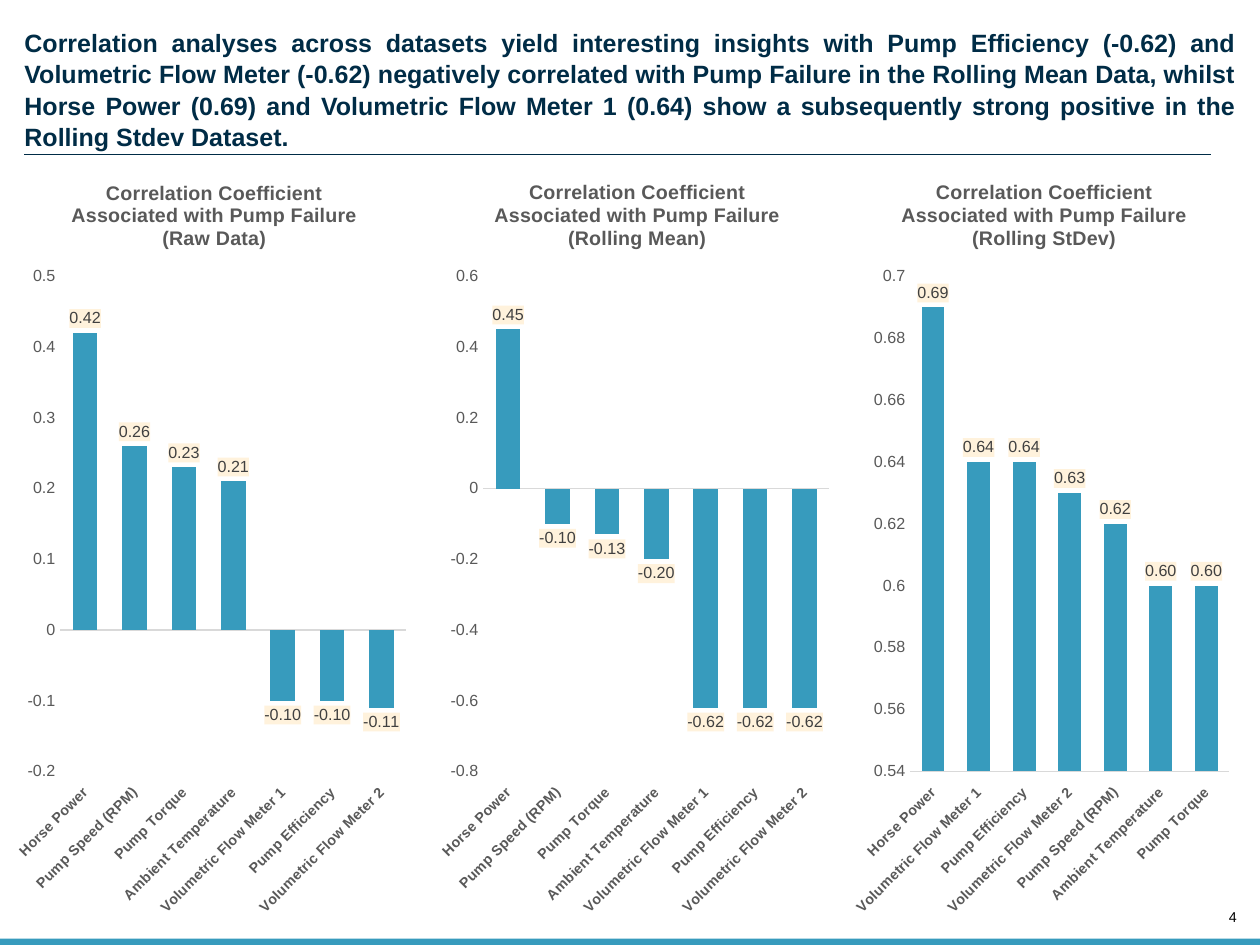
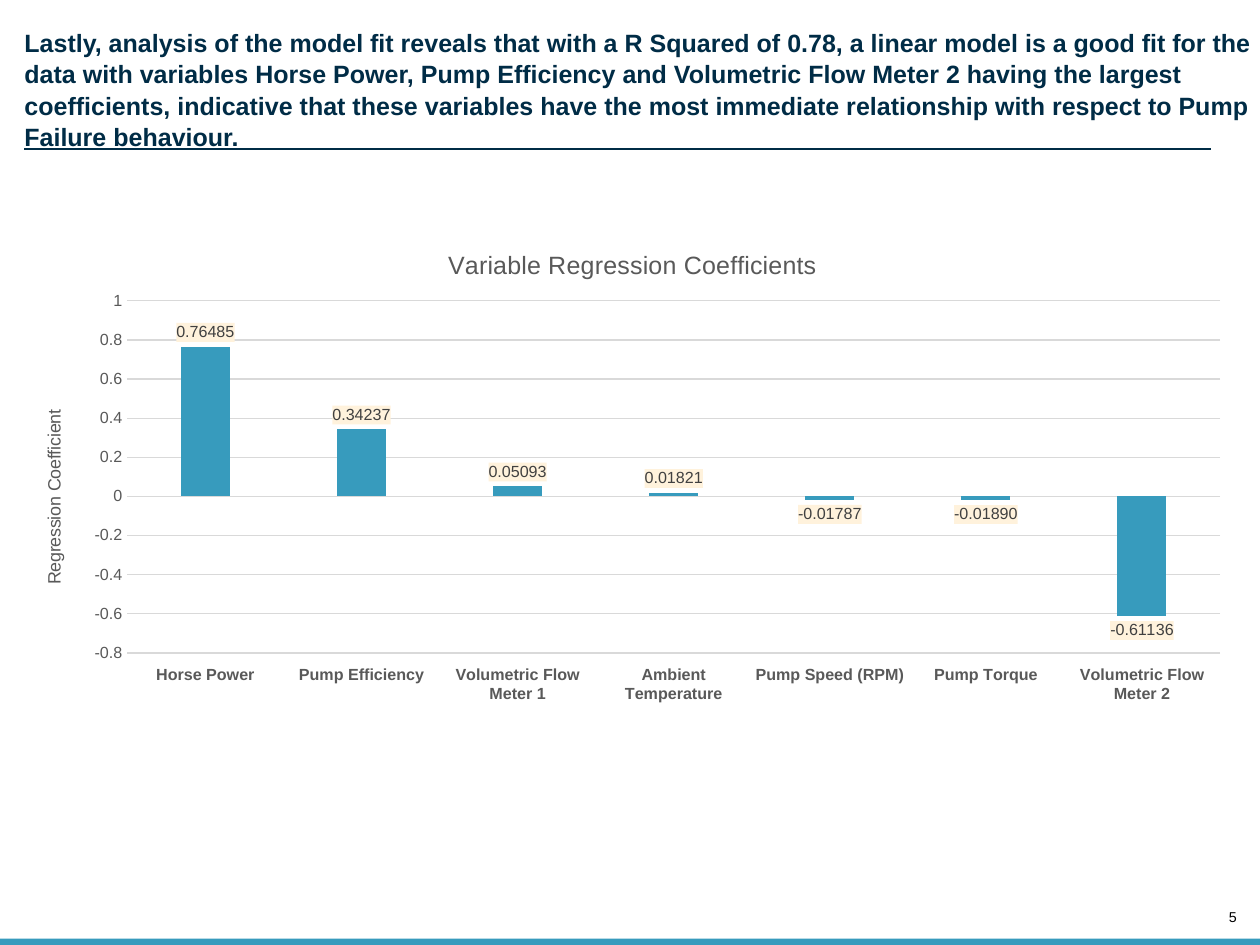
from lxml.etree import SubElement
from pptx import Presentation
from pptx.chart.data import CategoryChartData
from pptx.dml.color import RGBColor
from pptx.enum.chart import XL_CHART_TYPE, XL_LABEL_POSITION, XL_TICK_LABEL_POSITION, XL_TICK_MARK
from pptx.enum.shapes import MSO_CONNECTOR, MSO_SHAPE
from pptx.enum.text import MSO_ANCHOR, PP_ALIGN
from pptx.oxml import parse_xml
from pptx.oxml.ns import nsdecls, qn
from pptx.util import Inches, Pt

FONT = "Arial"
NAVY, TEAL, CREAM = "002C46", "379BBD", "FFF2DC"
BLACK, GREY, DARK, PALE = "000000", "595959", "404040", "D9D9D9"
PAGE_WIDTH, PAGE_HEIGHT, MARGIN = 9.8, 7.35, 0.19

POWER, SPEED, TORQUE = "Horse Power", "Pump Speed (RPM)", "Pump Torque"
TEMPERATURE, EFFICIENCY = "Ambient Temperature", "Pump Efficiency"
FLOW_1, FLOW_2 = "Volumetric Flow Meter 1", "Volumetric Flow Meter 2"
USUAL_ORDER = [POWER, SPEED, TORQUE, TEMPERATURE, FLOW_1, EFFICIENCY, FLOW_2]
STDEV_ORDER = [POWER, FLOW_1, EFFICIENCY, FLOW_2, SPEED, TEMPERATURE, TORQUE]
MODEL_ORDER = [POWER, EFFICIENCY, FLOW_1, TEMPERATURE, SPEED, TORQUE, FLOW_2]

# Boxes are (left, top, width, height); scales are (low, high, step).
CORRELATIONS = [
    dict(name="(Raw Data)", box=(0.06, 1.15, 3.17, 6.09), plot=(0.47, 2.15, 2.69, 3.85),
         categories=USUAL_ORDER, scale=(-0.2, 0.5, 0.1),
         values=[0.42, 0.26, 0.23, 0.21, -0.1, -0.1, -0.11]),
    dict(name="(Rolling Mean)", box=(3.35, 1.14, 3.17, 6.09), plot=(3.76, 2.15, 2.69, 3.85),
         categories=USUAL_ORDER, scale=(-0.8, 0.6, 0.2),
         values=[0.45, -0.1, -0.13, -0.2, -0.62, -0.62, -0.62]),
    dict(name="(Rolling StDev)", box=(6.58, 1.14, 3.04, 6.09), plot=(7.08, 2.15, 2.48, 3.85),
         categories=STDEV_ORDER, scale=(0.54, 0.7, 0.02),
         values=[0.69, 0.64, 0.64, 0.63, 0.62, 0.6, 0.6]),
]


def colour(value):
    return RGBColor.from_string(value)


def style_font(font, size, shade, bold=False):
    font.name, font.size, font.bold = FONT, Pt(size), bold
    font.color.rgb = colour(shade)


def add_text(page, text, box, size=14, shade=NAVY, bold=False, align=PP_ALIGN.LEFT,
             anchor=MSO_ANCHOR.TOP, wrap=True, spacing=1.0):
    frame = page.shapes.add_textbox(*map(Inches, box)).text_frame
    frame.margin_left = frame.margin_right = frame.margin_top = frame.margin_bottom = 0
    frame.word_wrap, frame.vertical_anchor = wrap, anchor
    para = frame.paragraphs[0]
    para.alignment, para.line_spacing = align, spacing
    span = para.add_run()
    span.text = text
    style_font(span.font, size, shade, bold)


def add_page(deck, number, headline, width, rule_top, align=PP_ALIGN.LEFT):
    """Add a page with the shared headline, rule, page number and bottom band."""
    page = deck.slides.add_slide(deck.slide_layouts[6])
    add_text(page, str(number), (9.48, 7.07, 0.14, 0.13), size=8, shade=BLACK,
             align=PP_ALIGN.RIGHT, anchor=MSO_ANCHOR.BOTTOM, wrap=False)
    band = page.shapes.add_shape(MSO_SHAPE.RECTANGLE, 0, Inches(PAGE_HEIGHT - 0.05),
                                 Inches(PAGE_WIDTH), Inches(0.05))
    band.shadow.inherit = False
    band.fill.solid()
    band.fill.fore_color.rgb = colour(TEAL)
    band.line.fill.background()
    add_text(page, headline, (MARGIN, 0.2, width, 0.94), bold=True, align=align, spacing=1.05)
    rule = page.shapes.add_connector(MSO_CONNECTOR.STRAIGHT, Inches(MARGIN), Inches(rule_top),
                                     Inches(9.42), Inches(rule_top))
    rule.line.color.rgb, rule.line.width = colour(NAVY), Pt(0.75)
    SubElement(rule._element.spPr, qn("a:effectLst"))
    return page


def manual_layout(inner=False, **fractions):
    parts = ['<c:layoutTarget val="inner"/>'] if inner else []
    parts += [f'<c:{key}Mode val="edge"/>' for key in "xy"]
    parts += [f'<c:{key} val="{value:.4f}"/>' for key, value in fractions.items()]
    return parse_xml(f'<c:layout {nsdecls("c")}><c:manualLayout>{"".join(parts)}'
                     '</c:manualLayout></c:layout>')


def set_layout(parent, layout, index):
    for old in parent.findall(qn("c:layout")):
        parent.remove(old)
    parent.insert(index, layout)


def write_title(title, lines, size, bold=False):
    frame = title.text_frame
    for index, line in enumerate(lines):
        para = frame.add_paragraph() if index else frame.paragraphs[0]
        span = para.add_run()
        span.text = line
        style_font(span.font, size, GREY, bold)
    return frame


def style_axes(chart, scale, category_size, angle, grid):
    across, upright = chart.category_axis, chart.value_axis
    for axis, size, bold in ((across, category_size, True), (upright, 9, False)):
        axis.major_tick_mark = axis.minor_tick_mark = XL_TICK_MARK.NONE
        axis.has_major_gridlines = False
        style_font(axis.tick_labels.font, size, GREY, bold)
    across.tick_label_position = XL_TICK_LABEL_POSITION.LOW
    across.format.line.color.rgb, across.format.line.width = colour(PALE), Pt(0.75)
    if angle:
        across._element.txPr.find(qn("a:bodyPr")).set("rot", str(angle * 60000))
    upright.minimum_scale, upright.maximum_scale, upright.major_unit = scale
    upright.tick_labels.number_format = "General"
    upright.tick_labels.number_format_is_linked = False
    upright.format.line.fill.background()
    if grid:
        upright.has_major_gridlines = True
        line = upright.major_gridlines.format.line
        line.color.rgb, line.width = colour(PALE), Pt(0.75)


def style_columns(plot, gap, number_format):
    plot.gap_width, plot.overlap, plot.vary_by_categories = gap, -27, False
    series = plot.series[0]
    series.invert_if_negative = False
    series.format.fill.solid()
    series.format.fill.fore_color.rgb = colour(TEAL)
    labels = series.data_labels
    labels.show_value = True
    labels.number_format, labels.number_format_is_linked = number_format, False
    labels.position = XL_LABEL_POSITION.OUTSIDE_END
    style_font(labels.font, 9, DARK)
    labels._element.find(qn("c:txPr")).addprevious(parse_xml(
        f'<c:spPr {nsdecls("c", "a")}><a:solidFill><a:srgbClr val="{CREAM}"/></a:solidFill>'
        '</c:spPr>'))


def add_columns(page, box, plot, categories, values, scale, title, title_size, title_at,
                bold=False, category_size=9, angle=0, gap=100, number_format="#,##0.00",
                axis_title=None, grid=False):
    """Add a column chart; plot and title_at are slide positions in inches."""
    left, top, width, height = box
    data = CategoryChartData()
    data.categories = categories
    data.add_series("Series 1", values)
    chart = page.shapes.add_chart(XL_CHART_TYPE.COLUMN_CLUSTERED, *map(Inches, box), data).chart
    chart.has_legend = False
    style_font(chart.font, 10, BLACK)
    chart.has_title = True
    write_title(chart.chart_title, title, title_size, bold)
    chart.chart_title.include_in_layout = False
    set_layout(chart.chart_title._element, manual_layout(
        x=(title_at[0] - left) / width, y=(title_at[1] - top) / height), 1)
    style_axes(chart, scale, category_size, angle, grid)
    if axis_title:
        frame = write_title(chart.value_axis.axis_title, [axis_title], 10)
        frame._txBody.find(qn("a:bodyPr")).set("rot", str(-90 * 60000))
    style_columns(chart.plots[0], gap, number_format)
    set_layout(chart._chartSpace.chart.plotArea, manual_layout(
        inner=True, x=(plot[0] - left) / width, y=(plot[1] - top) / height,
        w=plot[2] / width, h=plot[3] / height), 0)


def add_correlation_page(deck):
    page = add_page(
        deck, 4, "Correlation analyses across datasets yield interesting insights with Pump "
        "Efficiency (-0.62) and Volumetric Flow Meter (-0.62) negatively correlated with Pump "
        "Failure in the Rolling Mean Data, whilst Horse Power (0.69) and Volumetric Flow Meter 1 "
        "(0.64) show a subsequently strong positive in the Rolling Stdev Dataset.",
        width=9.43, rule_top=1.2, align=PP_ALIGN.JUSTIFY)
    title_width = 2.24
    for panel in CORRELATIONS:
        left, _, width, _ = panel["box"]
        add_columns(page, panel["box"], panel["plot"], panel["categories"], panel["values"],
                    panel["scale"], bold=True, category_size=8, angle=-45, title_size=11,
                    title=["Correlation Coefficient", "Associated with Pump Failure",
                           panel["name"]],
                    title_at=(left + (width - title_width) / 2, 1.36))


def add_regression_page(deck):
    page = add_page(
        deck, 5, "Lastly, analysis of the model fit reveals that with a R Squared of 0.78, a "
        "linear model is a good fit for the data with variables Horse Power, Pump Efficiency and "
        "Volumetric Flow Meter 2 having the largest coefficients, indicative that these variables "
        "have the most immediate relationship with respect to Pump Failure behaviour.",
        width=9.56, rule_top=1.16)
    add_columns(page, (0.12, 1.73, 9.56, 3.81), (0.99, 2.34, 8.5, 2.74), MODEL_ORDER,
                [0.76485, 0.34237, 0.05093, 0.01821, -0.01787, -0.0189, -0.61136],
                (-0.8, 1, 0.2), ["Variable Regression Coefficients"], 14, (3.45, 1.9),
                gap=219, number_format="#,##0.00000", axis_title="Regression Coefficient",
                grid=True)


def main():
    deck = Presentation()
    deck.slide_width, deck.slide_height = Inches(PAGE_WIDTH), Inches(PAGE_HEIGHT)
    add_correlation_page(deck)
    add_regression_page(deck)
    deck.save("out.pptx")


if __name__ == "__main__":
    main()
